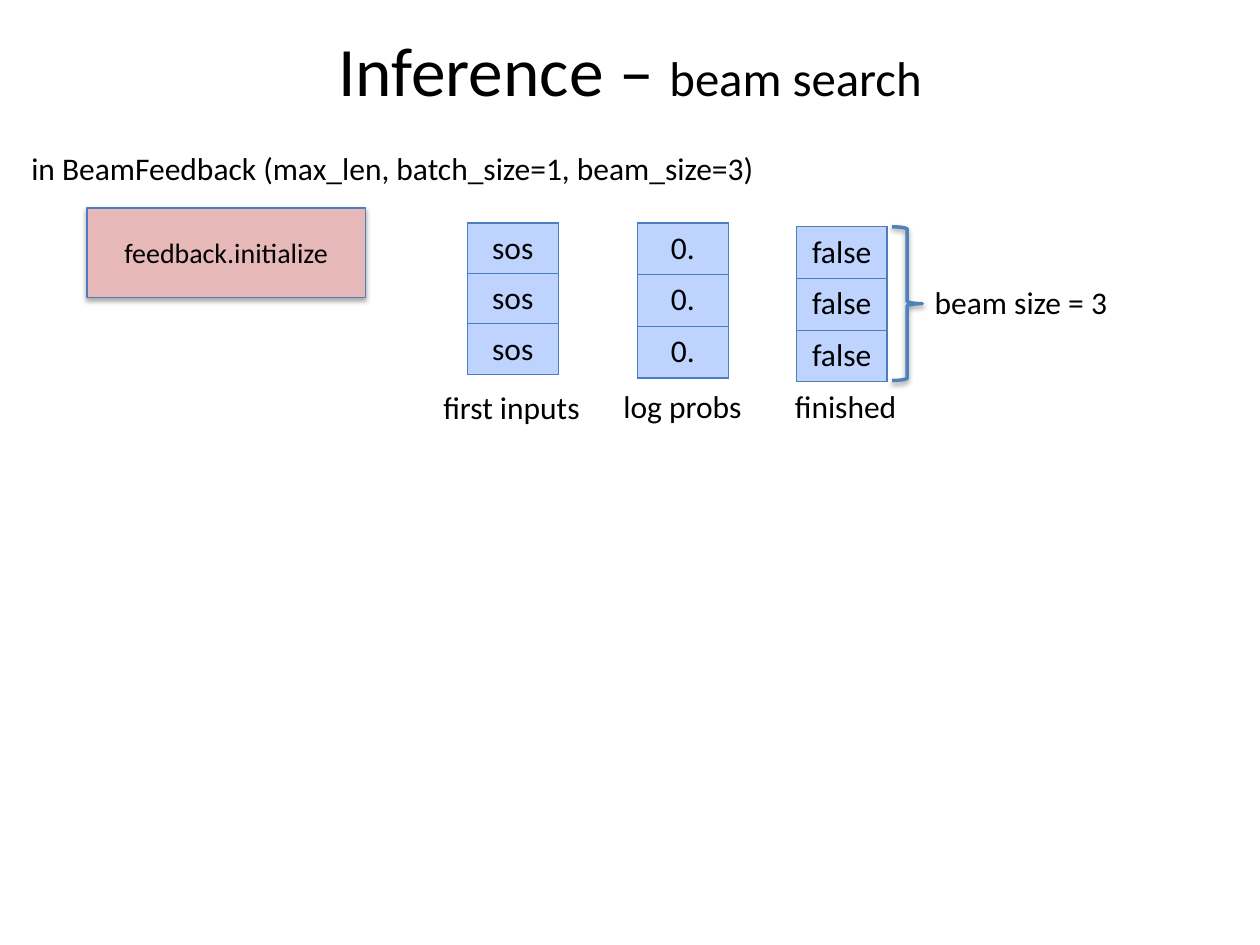
"""Build the beam search initialisation slide."""
from dataclasses import dataclass

from lxml.etree import SubElement
from pptx import Presentation
from pptx.dml.color import RGBColor
from pptx.enum.shapes import MSO_SHAPE
from pptx.enum.text import MSO_ANCHOR, PP_ALIGN
from pptx.oxml.ns import qn
from pptx.shapes.autoshape import Shape
from pptx.slide import Slide
from pptx.text.text import TextFrame
from pptx.util import Inches, Pt


@dataclass(frozen=True)
class Theme:
    font: str = "Calibri"
    text: str = "000000"
    cell: str = "BFD3FF"
    step: str = "E6B9B8"
    border: str = "4B7EBC"
    brace: str = "4F81BD"
    title_size: float = 39.6
    subtitle_size: float = 27.9
    body_size: float = 18
    step_size: float = 16


@dataclass(frozen=True)
class Box:
    left: float
    top: float
    width: float
    height: float

    def lengths(self) -> tuple:
        return tuple(map(Inches, (self.left, self.top, self.width, self.height)))


@dataclass(frozen=True)
class StateColumn:
    value: str
    caption: str
    left: float
    top: float
    row_height: float
    caption_box: Box


THEME = Theme()
BEAM_SIZE = 3
COLUMN_WIDTH = 0.72
COLUMNS = (
    StateColumn("sos", "first inputs", 3.71, 1.77, 0.4, Box(3.42, 3.03, 1.3, 0.4)),
    StateColumn("0.", "log probs", 5.06, 1.77, 0.41, Box(4.85, 3.02, 1.16, 0.4)),
    StateColumn("false", "finished", 6.32, 1.8, 0.41, Box(6.21, 3.02, 1.02, 0.4)),
)


def write_text(frame: TextFrame, text: str, *, size: float = THEME.body_size,
               align: PP_ALIGN = PP_ALIGN.LEFT) -> None:
    paragraph = frame.paragraphs[0]
    paragraph.alignment = align
    run = paragraph.add_run()
    run.text = text
    run.font.name = THEME.font
    run.font.size = Pt(size)
    run.font.color.rgb = RGBColor.from_string(THEME.text)


def add_label(slide: Slide, box: Box, text: str, *, wrap: bool = False) -> None:
    frame = slide.shapes.add_textbox(*box.lengths()).text_frame
    frame.word_wrap = wrap
    write_text(frame, text)


def add_title(slide: Slide) -> None:
    frame = slide.shapes.add_textbox(*Box(0.5, 0.3, 9, 0.5).lengths()).text_frame
    frame.word_wrap = True
    frame.vertical_anchor = MSO_ANCHOR.MIDDLE
    write_text(frame, "Inference – ", size=THEME.title_size, align=PP_ALIGN.CENTER)
    write_text(frame, "beam search", size=THEME.subtitle_size, align=PP_ALIGN.CENTER)


def add_shadow(shape: Shape, distance: float, opacity: int) -> None:
    shape.shadow.inherit = False
    effects = shape.element.spPr.find(qn("a:effectLst"))
    shadow = SubElement(effects, qn("a:outerShdw"), blurRad=str(Pt(3.1)),
                        dist=str(Pt(distance)), dir="5400000", rotWithShape="0")
    color = SubElement(shadow, qn("a:srgbClr"), val="000000")
    SubElement(color, qn("a:alpha"), val=str(opacity * 1000))


def add_outlined_shape(slide: Slide, kind: MSO_SHAPE, box: Box, *, line: str,
                       line_width: float, distance: float, opacity: int) -> Shape:
    shape = slide.shapes.add_shape(kind, *box.lengths())
    shape.fill.background()
    shape.line.color.rgb = RGBColor.from_string(line)
    shape.line.width = Pt(line_width)
    add_shadow(shape, distance, opacity)
    return shape


def add_state_column(slide: Slide, column: StateColumn) -> None:
    box = Box(column.left, column.top, COLUMN_WIDTH, BEAM_SIZE * column.row_height)
    table = slide.shapes.add_table(BEAM_SIZE, 1, *box.lengths()).table
    table.first_row = False
    table.horz_banding = False
    for row in table.rows:
        row.height = Inches(column.row_height)
        cell = row.cells[0]
        write_text(cell.text_frame, column.value, align=PP_ALIGN.CENTER)
        properties = cell._tc.get_or_add_tcPr()
        for edge in ("a:lnL", "a:lnR", "a:lnT", "a:lnB"):
            border = SubElement(properties, qn(edge), w=str(Pt(0.75)))
            fill = SubElement(border, qn("a:solidFill"))
            SubElement(fill, qn("a:srgbClr"), val=THEME.border)
        cell.fill.solid()
        cell.fill.fore_color.rgb = RGBColor.from_string(THEME.cell)
    add_label(slide, column.caption_box, column.caption)


def main() -> None:
    presentation = Presentation()
    presentation.slide_width = Inches(10)
    presentation.slide_height = Inches(7.5)
    slide = presentation.slides.add_slide(presentation.slide_layouts[6])

    add_title(slide)
    step = add_outlined_shape(slide, MSO_SHAPE.RECTANGLE, Box(0.69, 1.65, 2.21, 0.71),
                              line=THEME.border, line_width=0.75, distance=1.8, opacity=35)
    step.fill.solid()
    step.fill.fore_color.rgb = RGBColor.from_string(THEME.step)
    step.text_frame.vertical_anchor = MSO_ANCHOR.MIDDLE
    write_text(step.text_frame, "feedback.initialize", size=THEME.step_size,
               align=PP_ALIGN.CENTER)
    add_label(slide, Box(0.15, 1.13, 6.02, 0.4),
              "in BeamFeedback (max_len, batch_size=1, beam_size=3)")
    for column in COLUMNS:
        add_state_column(slide, column)
    add_outlined_shape(slide, MSO_SHAPE.RIGHT_BRACE, Box(7.08, 1.8, 0.24, 1.22),
                       line=THEME.brace, line_width=2, distance=1.6, opacity=38)
    add_label(slide, Box(7.32, 2.2, 1.7, 0.4), f"beam size = {BEAM_SIZE}", wrap=True)
    presentation.save("out.pptx")


main()
